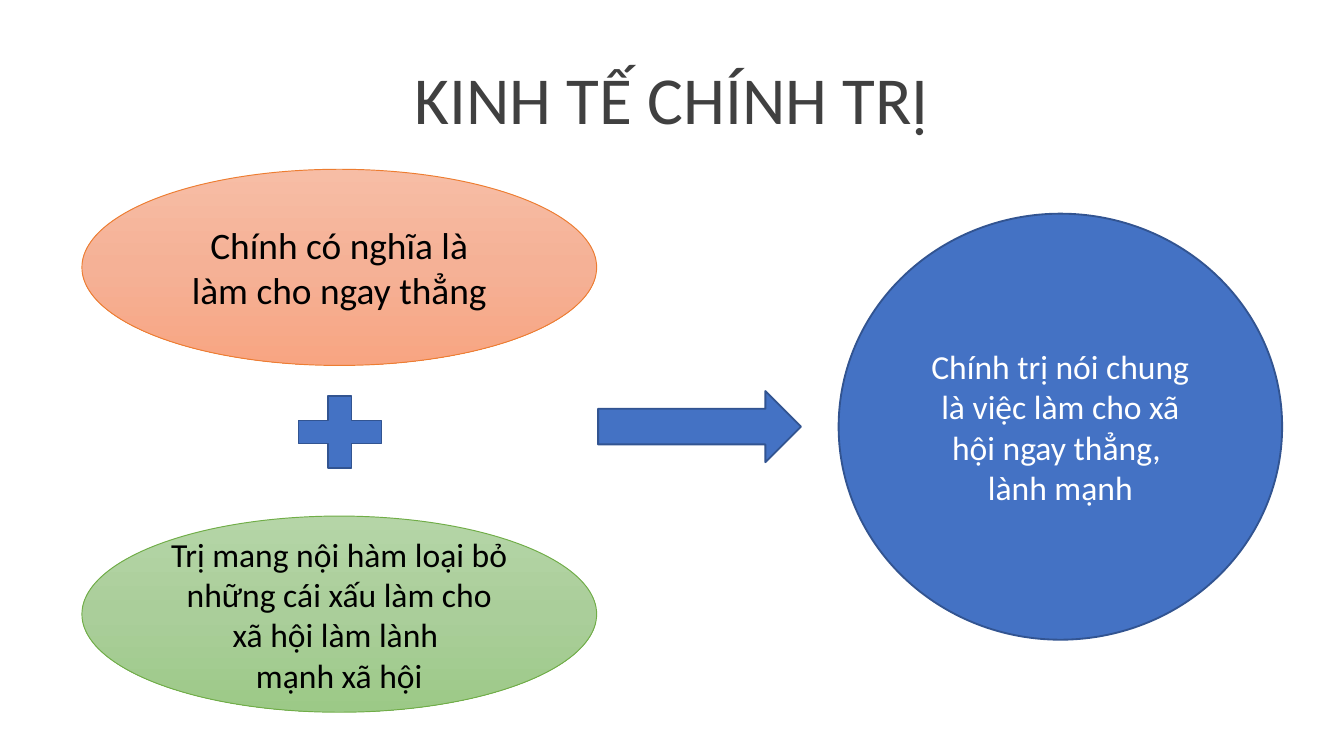
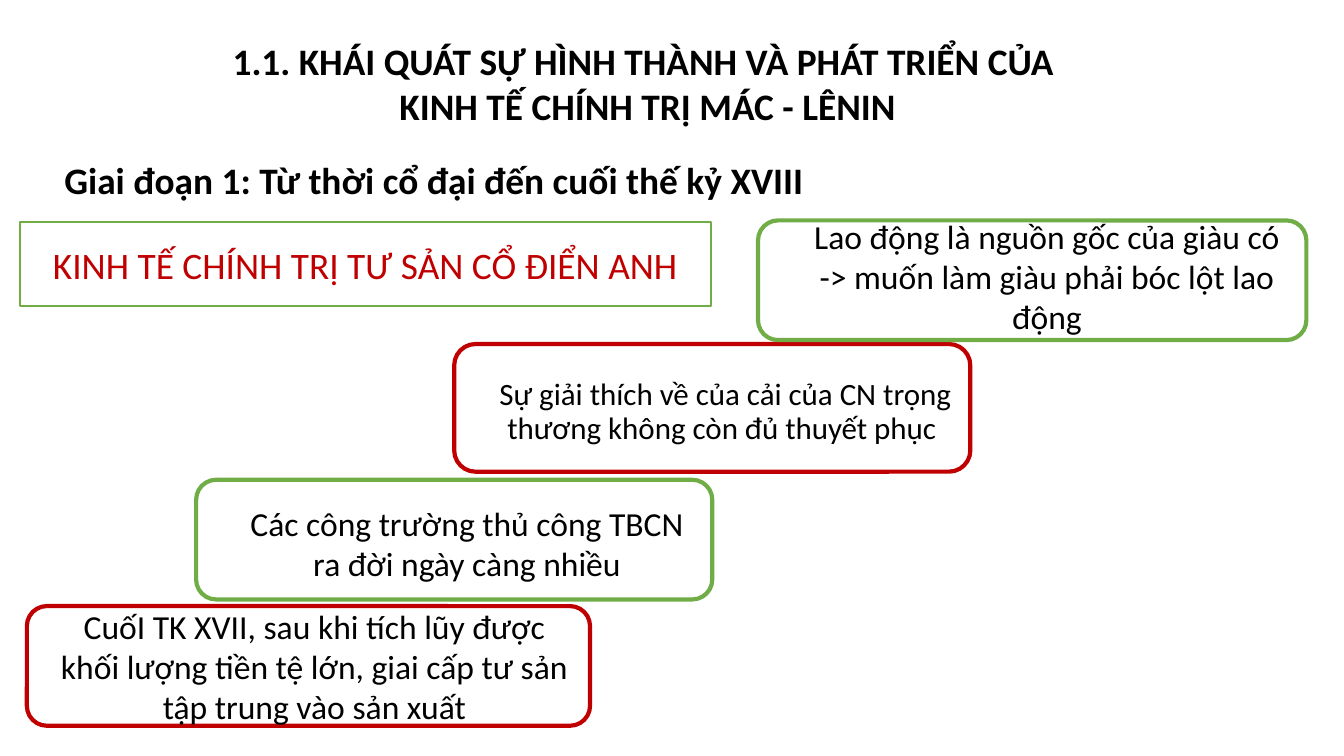
"""Builds two slides on political economy, drawn on a grid of 100 px to the inch."""
import copy
import dataclasses
from typing import Optional

import pptx
import pptx.dml.color
import pptx.enum.shapes
import pptx.enum.text
import pptx.oxml.ns
import pptx.shapes.autoshape
import pptx.shapes.shapetree
import pptx.util

PX = 9144
WIDE = 1000 * PX
HIGH = WIDE * 9 // 16
KIND = pptx.enum.shapes.MSO_SHAPE
Area = tuple[int, int, int, int]
Tree = pptx.shapes.shapetree.SlideShapes | pptx.shapes.shapetree.GroupShapes


@dataclasses.dataclass(frozen=True)
class Theme:
    font: str = "Calibri"
    black: str = "000000"
    white: str = "FFFFFF"
    gray: str = "404040"
    blue: str = "4472C4"
    navy: str = "325491"
    orange: str = "ED7D31"
    green: str = "70AD47"
    red: str = "C00000"
    peach: tuple[str, ...] = ("F7BDA5", "F5B196", "F8A582")
    mint: tuple[str, ...] = ("B5D5A7", "AACE9A", "9CC987")
    title: float = 36
    head: float = 20
    body: float = 18
    small: float = 16.6
    hair: float = 0.5
    thin: float = 1
    thick: float = 2.25


THEME = Theme()


@dataclasses.dataclass(frozen=True)
class Text:
    lines: tuple[str, ...]
    size: float = THEME.body
    color: str = THEME.black
    bold: bool = False
    space: Optional[float] = None


@dataclasses.dataclass(frozen=True)
class Form:
    kind: KIND
    area: Area
    fill: tuple[str, ...]
    line: str
    width: float = THEME.thin
    text: Optional[Text] = None


@dataclasses.dataclass(frozen=True)
class Card:
    frame: Area
    label: Area
    line: str
    text: Text


def tint(code: str) -> pptx.dml.color.RGBColor:
    """Turn a hex code into a colour."""
    return pptx.dml.color.RGBColor.from_string(code)


def scale(area: Area) -> list[int]:
    """Turn px into EMU."""
    return [value * PX for value in area]


def write(shape: pptx.shapes.autoshape.Shape, text: Text) -> None:
    """Set centred text in a shape."""
    frame = shape.text_frame
    frame.word_wrap = True
    frame.vertical_anchor = pptx.enum.text.MSO_ANCHOR.MIDDLE
    frame.text = "\n".join(text.lines)
    for para in frame.paragraphs:
        para.alignment = pptx.enum.text.PP_ALIGN.CENTER
        if text.space:
            para.line_spacing = text.space
        para.font.name = THEME.font
        para.font.size = pptx.util.Pt(text.size)
        para.font.bold = text.bold
        para.font.color.rgb = tint(text.color)


def blend(shape: pptx.shapes.autoshape.Shape, codes: tuple[str, ...]) -> None:
    """Fill a shape from top to bottom with evenly spaced colours."""
    shape.fill.gradient()
    shape.fill.gradient_angle = 270
    stops = next(shape._element.iter(pptx.oxml.ns.qn("a:gsLst")))
    for _ in codes[2:]:
        stops.append(copy.deepcopy(stops[0]))
    for rank, (stop, code) in enumerate(zip(shape.fill.gradient_stops, codes)):
        stop.position = rank / (len(codes) - 1)
        stop.color.rgb = tint(code)


def label(tree: Tree, area: Area, text: Text) -> None:
    """Draw a plain text box."""
    write(tree.add_textbox(*scale(area)), text)


def draw(tree: Tree, form: Form) -> None:
    """Draw a filled and outlined shape."""
    shape = tree.add_shape(form.kind, *scale(form.area))
    shape.shadow.inherit = False
    if len(form.fill) > 1:
        blend(shape, form.fill)
    else:
        shape.fill.solid()
        shape.fill.fore_color.rgb = tint(form.fill[0])
    shape.line.color.rgb = tint(form.line)
    shape.line.width = pptx.util.Pt(form.width)
    if form.text:
        write(shape, form.text)


def stack(tree: Tree, card: Card) -> None:
    """Draw a rounded frame grouped with its label."""
    group = tree.add_group_shape().shapes
    draw(group, Form(KIND.ROUNDED_RECTANGLE, card.frame, (THEME.white,),
                     card.line, THEME.thick))
    label(group, card.label, card.text)


TITLE = Text(("KINH TẾ CHÍNH TRỊ",), THEME.title, THEME.gray, space=0.9)
FORMS = (
    Form(KIND.OVAL, (61, 126, 383, 146), THEME.peach, THEME.orange, THEME.hair,
         Text(("Chính có nghĩa là", "làm cho ngay thẳng"), THEME.head)),
    Form(KIND.OVAL, (61, 384, 383, 146), THEME.mint, THEME.green, THEME.hair,
         Text(("Trị mang nội hàm loại bỏ những cái xấu làm cho xã hội làm lành ",
               "mạnh xã hội"))),
    Form(KIND.MATH_PLUS, (211, 285, 84, 73), (THEME.blue,), THEME.navy),
    Form(KIND.RIGHT_ARROW, (445, 291, 151, 53), (THEME.blue,), THEME.navy),
    Form(KIND.OVAL, (624, 159, 330, 317), (THEME.blue,), THEME.navy,
         text=Text(("Chính trị nói chung là việc làm cho xã hội ngay thẳng, ",
                    "lành mạnh"), color=THEME.white)),
)

HEAD = Text(("1.1. KHÁI QUÁT SỰ HÌNH THÀNH VÀ PHÁT TRIỂN CỦA ",
             "KINH TẾ CHÍNH TRỊ MÁC - LÊNIN"), THEME.head, bold=True)
STAGE = Text(("Giai đoạn 1: Từ thời cổ đại đến cuối thế kỷ XVIII",),
             THEME.head, bold=True)
SCHOOL = Form(KIND.RECTANGLE, (15, 165, 514, 63), (THEME.white,), THEME.green,
              text=Text(("KINH TẾ CHÍNH TRỊ TƯ SẢN CỔ ĐIỂN ANH",),
                        THEME.head, THEME.red))
CARDS = (
    Card((146, 357, 384, 89), (165, 362, 365, 84), THEME.green,
         Text(("Các công trường thủ công TBCN ra đời ngày càng nhiều",))),
    Card((338, 256, 384, 95), (357, 262, 365, 90), THEME.red,
         Text(("Sự giải thích về của cải của CN trọng thương "
               "không còn đủ thuyết phục ",), THEME.small, space=0.9)),
    Card((20, 451, 419, 89), (35, 451, 398, 89), THEME.red,
         Text(("CuốI TK XVII, sau khi tích lũy được khối lượng tiền tệ lớn, "
               "giai cấp tư sản tập trung vào sản xuất",))),
    Card((564, 164, 408, 89), (585, 158, 388, 95), THEME.green,
         Text(("Lao động là nguồn gốc của giàu có -> muốn làm giàu "
               "phải bóc lột lao động",))),
)


def main() -> None:
    """Build and save both slides."""
    deck = pptx.Presentation()
    deck.slide_width, deck.slide_height = WIDE, HIGH
    blank = deck.slide_layouts[6]

    terms = deck.slides.add_slide(blank).shapes
    label(terms, (0, 61, 1000, 31), TITLE)
    for form in FORMS:
        draw(terms, form)

    steps = deck.slides.add_slide(blank).shapes
    label(steps, (98, 14, 768, 95), HEAD)
    draw(steps, SCHOOL)
    label(steps, (0, 102, 646, 63), STAGE)
    for card in CARDS:
        stack(steps, card)

    deck.save("out.pptx")


if __name__ == "__main__":
    main()
